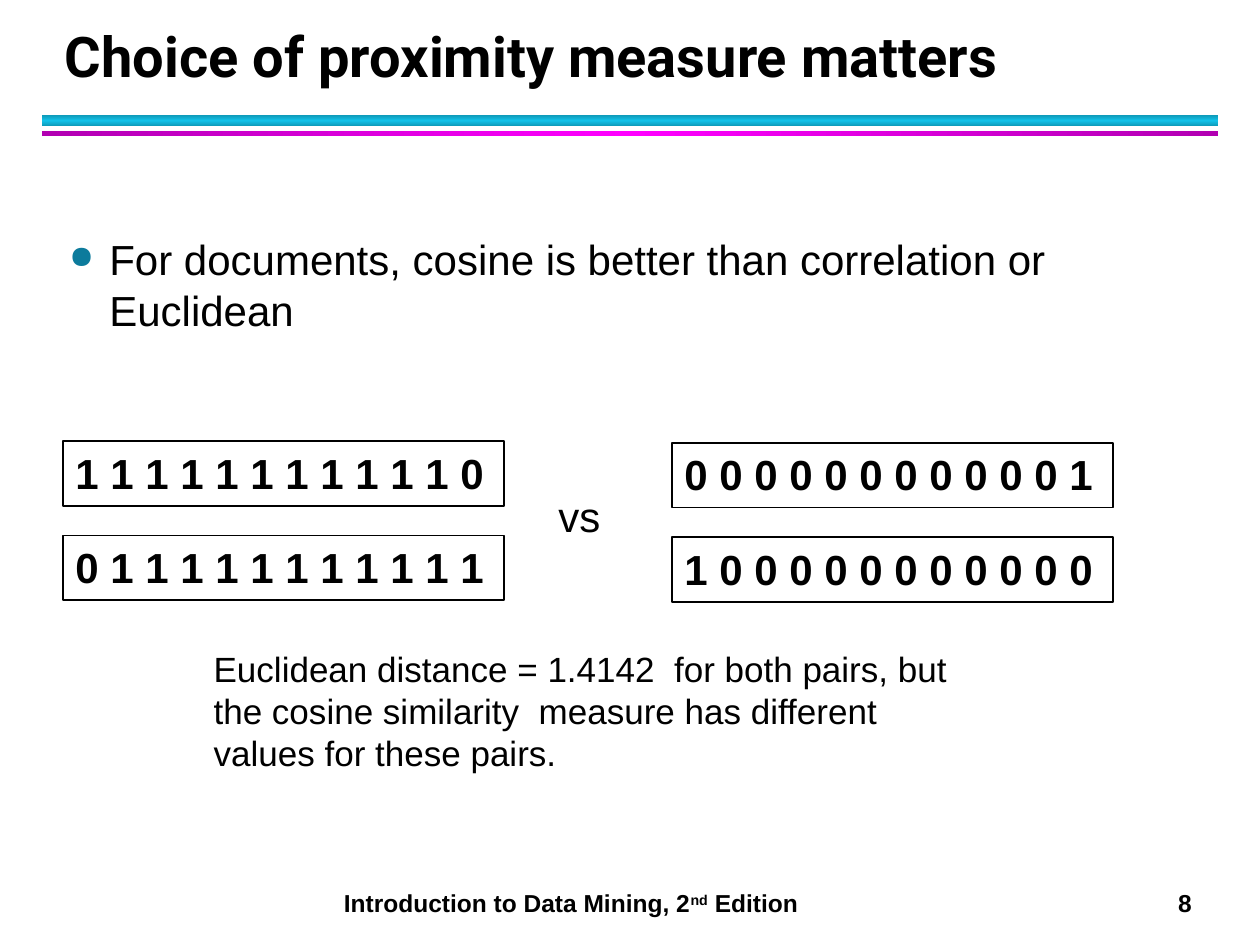
from typing import NamedTuple

from lxml.etree import SubElement
from pptx import Presentation
from pptx.dml.color import RGBColor
from pptx.enum.shapes import MSO_SHAPE as Shape
from pptx.enum.text import MSO_ANCHOR as Anchor, PP_ALIGN as Align
from pptx.oxml.ns import qn
from pptx.util import Pt

BLACK = RGBColor(0x00, 0x00, 0x00)
DARK_CYAN = RGBColor(0x0E, 0x9B, 0xBA)
CYAN = RGBColor(0x12, 0xC2, 0xE9)
DARK_MAGENTA = RGBColor(0xB2, 0x00, 0xB2)
MAGENTA = RGBColor(0xFF, 0x00, 0xFF)
BULLET_COLOR = RGBColor(0x0C, 0x7B, 0x9C)


class Box(NamedTuple):
    left: float
    top: float
    width: float
    height: float

    def lengths(self) -> list:
        return [Pt(value) for value in self]


class Style(NamedTuple):
    size: float
    bold: bool = False
    font: str = "Arial"
    align: Align = Align.LEFT
    anchor: Anchor = Anchor.TOP


class Rule(NamedTuple):
    box: Box
    edge: RGBColor
    middle: RGBColor
    angle: int


class Vector(NamedTuple):
    left: float
    top: float
    digits: str


TITLE = Style(32, bold=True, font="Roboto", anchor=Anchor.BOTTOM)
BODY = Style(24)
DIGITS = Style(24, bold=True)
CAPTION = Style(20)
FOOTER = Style(14, bold=True)
PAGE_NUMBER = FOOTER._replace(align=Align.RIGHT)

RULES = [
    Rule(Box(24, 66, 672, 6), DARK_CYAN, CYAN, 90),
    Rule(Box(24, 75, 672, 3), DARK_MAGENTA, MAGENTA, 0),
]

PAIR_STEP = 54
PAIRS = [
    (36, 252, ("1 1 1 1 1 1 1 1 1 1 1 0", "0 1 1 1 1 1 1 1 1 1 1 1")),
    (384, 253, ("0 0 0 0 0 0 0 0 0 0 0 1", "1 0 0 0 0 0 0 0 0 0 0 0")),
]


def write(shape, text: str, style: Style):
    """Fill the shape with one styled paragraph and return it."""
    frame = shape.text_frame
    frame.word_wrap = True
    frame.vertical_anchor = style.anchor
    paragraph = frame.paragraphs[0]
    paragraph.text = text
    paragraph.alignment = style.align
    font = paragraph.font
    font.name, font.size, font.bold = style.font, Pt(style.size), style.bold
    font.color.rgb = BLACK
    return paragraph


def add_text(slide, box: Box, text: str, style: Style):
    return write(slide.shapes.add_textbox(*box.lengths()), text, style)


def add_bulleted_text(slide, box: Box, text: str, style: Style) -> None:
    shape = slide.shapes.add_textbox(*box.lengths())
    properties = shape.text_frame.paragraphs[0]._p.get_or_add_pPr()
    properties.set("marL", str(Pt(23)))
    properties.set("indent", str(-Pt(23)))
    color = SubElement(properties, qn("a:buClr"))
    SubElement(color, qn("a:srgbClr"), val=str(BULLET_COLOR))
    SubElement(properties, qn("a:buSzPct"), val="75000")
    SubElement(properties, qn("a:buChar"), char="●")
    write(shape, text, style)


def add_rule(slide, rule: Rule) -> None:
    """Draw a bar whose gradient runs from edge to middle and back."""
    shape = slide.shapes.add_shape(Shape.RECTANGLE, *rule.box.lengths())
    shape.shadow.inherit = False
    shape.line.fill.background()
    shape.fill.gradient()
    shape.fill.gradient_angle = rule.angle
    stops = shape.fill._fill._gradFill.find(qn("a:gsLst"))
    for stop in list(stops):
        stops.remove(stop)
    for position, color in enumerate((rule.edge, rule.middle, rule.edge)):
        stop = SubElement(stops, qn("a:gs"), pos=str(position * 50000))
        SubElement(stop, qn("a:srgbClr"), val=str(color))


def add_vector(slide, vector: Vector) -> None:
    box = Box(vector.left, vector.top, 252, 37)
    shape = slide.shapes.add_shape(Shape.RECTANGLE, *box.lengths())
    shape.shadow.inherit = False
    shape.fill.background()
    shape.line.color.rgb = BLACK
    shape.line.width = Pt(1)
    write(shape, vector.digits, DIGITS)


def add_footer(slide) -> None:
    footer = add_text(slide, Box(189.4, 504, 300, 24.5),
                      "Introduction to Data Mining, 2", FOOTER)
    ordinal = footer.add_run()
    ordinal.text = "nd"
    ordinal.font._element.set("baseline", "30000")
    footer.add_run().text = " Edition"
    add_text(slide, Box(628, 504, 60, 24.5), "8", PAGE_NUMBER)


def main() -> None:
    presentation = Presentation()
    presentation.slide_width, presentation.slide_height = Pt(720), Pt(540)
    slide = presentation.slides.add_slide(presentation.slide_layouts[6])

    for rule in RULES:
        add_rule(slide, rule)
    add_footer(slide)

    title = add_text(slide, Box(30, 12, 652, 42),
                     "Choice of proximity measure matters", TITLE)
    title.line_spacing = Pt(36)
    add_bulleted_text(
        slide, Box(32.4, 130, 655, 70),
        "For documents, cosine is better than correlation or Euclidean", BODY)

    for left, top, rows in PAIRS:
        for index, digits in enumerate(rows):
            add_vector(slide, Vector(left, top + index * PAIR_STEP, digits))

    add_text(slide, Box(312, 277, 44, 48), "vs", BODY)
    add_text(
        slide, Box(115, 366.5, 438, 80),
        "Euclidean distance = 1.4142  for both pairs, but the cosine "
        "similarity  measure has different values for these pairs.", CAPTION)
    presentation.save("out.pptx")


if __name__ == "__main__":
    main()
